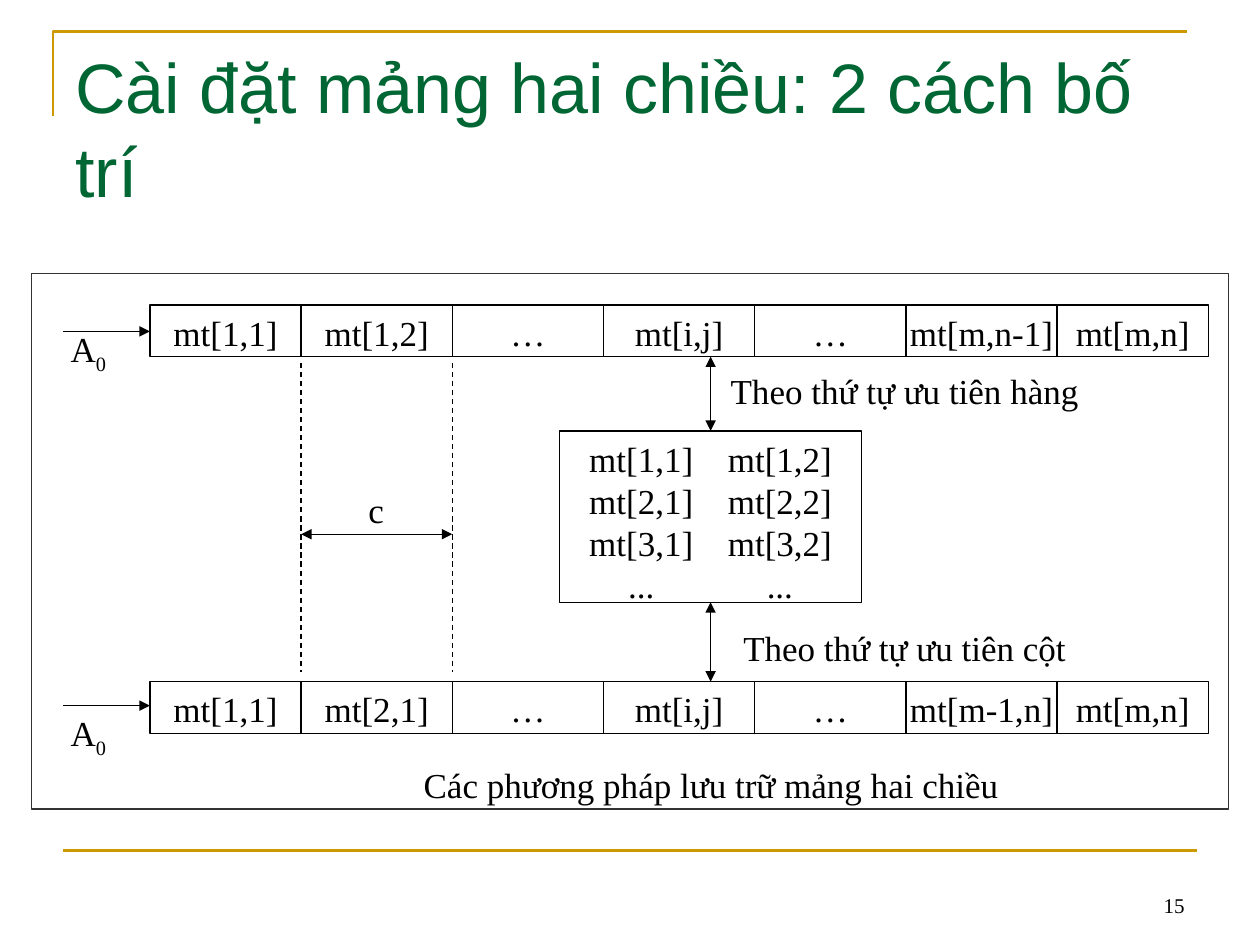
from dataclasses import dataclass
from typing import Any, Optional

from lxml.etree import SubElement
from pptx import Presentation
from pptx.dml.color import RGBColor
from pptx.enum.dml import MSO_LINE
from pptx.enum.shapes import MSO_CONNECTOR, MSO_SHAPE
from pptx.enum.text import MSO_ANCHOR, PP_ALIGN
from pptx.oxml.ns import qn
from pptx.util import Inches, Pt

BLACK, WHITE, GOLD, GREEN, GRAY = "000000", "FFFFFF", "CC9900", "006633", "333333"
SERIF = "Times New Roman"
LEFT, TOP, LOW, WIDE, HIGH = 1.19, 2.42, 5.41, 1.2, 0.41
MID = 5.64


@dataclass
class Label:
    x: float
    y: float
    w: float
    h: float
    text: str
    size: int = 20
    face: str = SERIF
    color: str = BLACK
    align: Any = PP_ALIGN.CENTER
    anchor: Any = MSO_ANCHOR.TOP
    pad: float = 0.06
    sub: str = ""
    tabs: tuple[float, ...] = ()


@dataclass
class Rule:
    x: float
    y: float
    to_x: float
    to_y: float
    color: str = BLACK
    width: float = 0.75
    head: bool = False
    tail: bool = False
    dash: bool = False


def assign(item: Any, values: dict[str, Any]) -> None:
    for key, value in values.items():
        setattr(item, key, value)


def paint(form: Any, color: str) -> None:
    if hasattr(form, "solid"):
        form.solid()
        form.fore_color.rgb = RGBColor.from_string(color)
    else:
        form.rgb = RGBColor.from_string(color)


def add_run(para: Any, text: str, label: Label) -> Any:
    run = para.add_run()
    run.text = text
    assign(run.font, {"size": Pt(label.size), "name": label.face})
    paint(run.font.color, label.color)
    return run


def write(shape: Any, label: Label) -> None:
    frame = shape.text_frame
    assign(frame, {
        "word_wrap": True,
        "vertical_anchor": label.anchor,
        "margin_left": Inches(label.pad),
        "margin_right": Inches(label.pad),
        "margin_top": Inches(0.05),
        "margin_bottom": Inches(0.05),
    })
    for index, line in enumerate(label.text.split("\n")):
        para = frame.add_paragraph() if index else frame.paragraphs[0]
        para.alignment = label.align
        if label.tabs:
            stops = SubElement(para._p.get_or_add_pPr(), qn("a:tabLst"))
            for stop in label.tabs:
                SubElement(stops, qn("a:tab"), pos=str(Inches(stop)), algn="ctr")
        add_run(para, line, label)
    if label.sub:
        run = add_run(para, label.sub, label)
        run._r.get_or_add_rPr().set("baseline", "-25000")


def add_text(slide: Any, label: Label) -> None:
    area = map(Inches, (label.x, label.y, label.w, label.h))
    write(slide.shapes.add_textbox(*area), label)


def add_box(slide: Any, label: Label, edge: str = BLACK, fill: Optional[str] = WHITE) -> None:
    area = map(Inches, (label.x, label.y, label.w, label.h))
    box = slide.shapes.add_shape(MSO_SHAPE.RECTANGLE, *area)
    box.shadow.inherit = False
    if fill:
        paint(box.fill, fill)
    else:
        box.fill.background()
    paint(box.line.fill, edge)
    box.line.width = Pt(0.75)
    if label.text:
        write(box, label)


def add_rule(slide: Any, rule: Rule) -> None:
    ends = map(Inches, (rule.x, rule.y, rule.to_x, rule.to_y))
    line = slide.shapes.add_connector(MSO_CONNECTOR.STRAIGHT, *ends)
    paint(line.line.fill, rule.color)
    line.line.width = Pt(rule.width)
    if rule.dash:
        line.line.dash_style = MSO_LINE.DASH
    props = line._element.spPr
    stroke = props.find(qn("a:ln"))
    for name, shown in (("a:headEnd", rule.head), ("a:tailEnd", rule.tail)):
        if shown:
            SubElement(stroke, qn(name), type="triangle")
    SubElement(props, qn("a:effectLst"))


def add_corner(slide: Any) -> None:
    pen = slide.shapes.build_freeform(Inches(0.42), Inches(0.92))
    points = [(Inches(x), Inches(y)) for x, y in ((0.42, 0.25), (9.42, 0.25))]
    pen.add_line_segments(points, close=False)
    shape = pen.convert_to_shape()
    shape.shadow.inherit = False
    shape.fill.background()
    paint(shape.line.fill, GOLD)
    shape.line.width = Pt(1.5)


def add_row(slide: Any, y: float, names: list[str]) -> None:
    for index, name in enumerate(names):
        add_box(slide, Label(LEFT + index * WIDE, y, WIDE, HIGH, name, pad=0.02))


def main() -> None:
    deck = Presentation()
    assign(deck, {"slide_width": Inches(10), "slide_height": Inches(7.5)})
    slide = deck.slides.add_slide(deck.slide_layouts[6])

    add_corner(slide)
    add_rule(slide, Rule(0.5, 6.75, 9.5, 6.75, GOLD, 1.5))
    add_text(slide, Label(7.17, 6.83, 2.33, 0.5, "15", 12, align=PP_ALIGN.RIGHT,
                          anchor=MSO_ANCHOR.BOTTOM, pad=0.1))
    add_text(slide, Label(0.5, 0.3, 9, 1.25, "Cài đặt mảng hai chiều: 2 cách bố trí",
                          40, "Arial", GREEN, PP_ALIGN.LEFT, pad=0.1))
    add_box(slide, Label(0.25, 2.17, 9.5, 4.25, ""), GRAY, None)

    cells = [f"\tmt[{row},1]\tmt[{row},2]" for row in (1, 2, 3)] + ["\t...\t..."]
    add_box(slide, Label(4.44, 3.42, 2.4, 1.36, "\n".join(cells),
                         align=PP_ALIGN.LEFT, tabs=(0.59, 1.69)))

    left, right = LEFT + WIDE, LEFT + 2 * WIDE
    rules = [
        Rule(MID, TOP + HIGH, MID, 3.42, head=True, tail=True),
        Rule(MID, 4.78, MID, LOW, head=True, tail=True),
        Rule(left, 4.24, right, 4.24, head=True, tail=True),
    ]
    rules += [Rule(0.5, y, LEFT, y, tail=True) for y in (2.63, 5.6)]
    rules += [Rule(x, 2.88, x, 5.33, dash=True) for x in (left, right)]
    for rule in rules:
        add_rule(slide, rule)

    for y in (2.55, 5.6):
        add_text(slide, Label(0.5, y, 0.51, HIGH, "A", align=PP_ALIGN.LEFT, sub="0"))
    for x, y, wide, text in (
        (2.73, 3.83, 0.51, "c"),
        (MID, 2.88, 3.08, "Theo thứ tự ưu tiên hàng"),
        (MID, 4.92, 3.08, "Theo thứ tự ưu tiên cột"),
        (2.56, 6.01, 6.17, "Các phương pháp lưu trữ mảng hai chiều"),
    ):
        add_text(slide, Label(x, y, wide, HIGH, text))

    add_row(slide, TOP, ["mt[1,1]", "mt[1,2]", "…", "mt[i,j]", "…", "mt[m,n-1]", "mt[m,n]"])
    add_row(slide, LOW, ["mt[1,1]", "mt[2,1]", "…", "mt[i,j]", "…", "mt[m-1,n]", "mt[m,n]"])
    deck.save("out.pptx")


if __name__ == "__main__":
    main()
